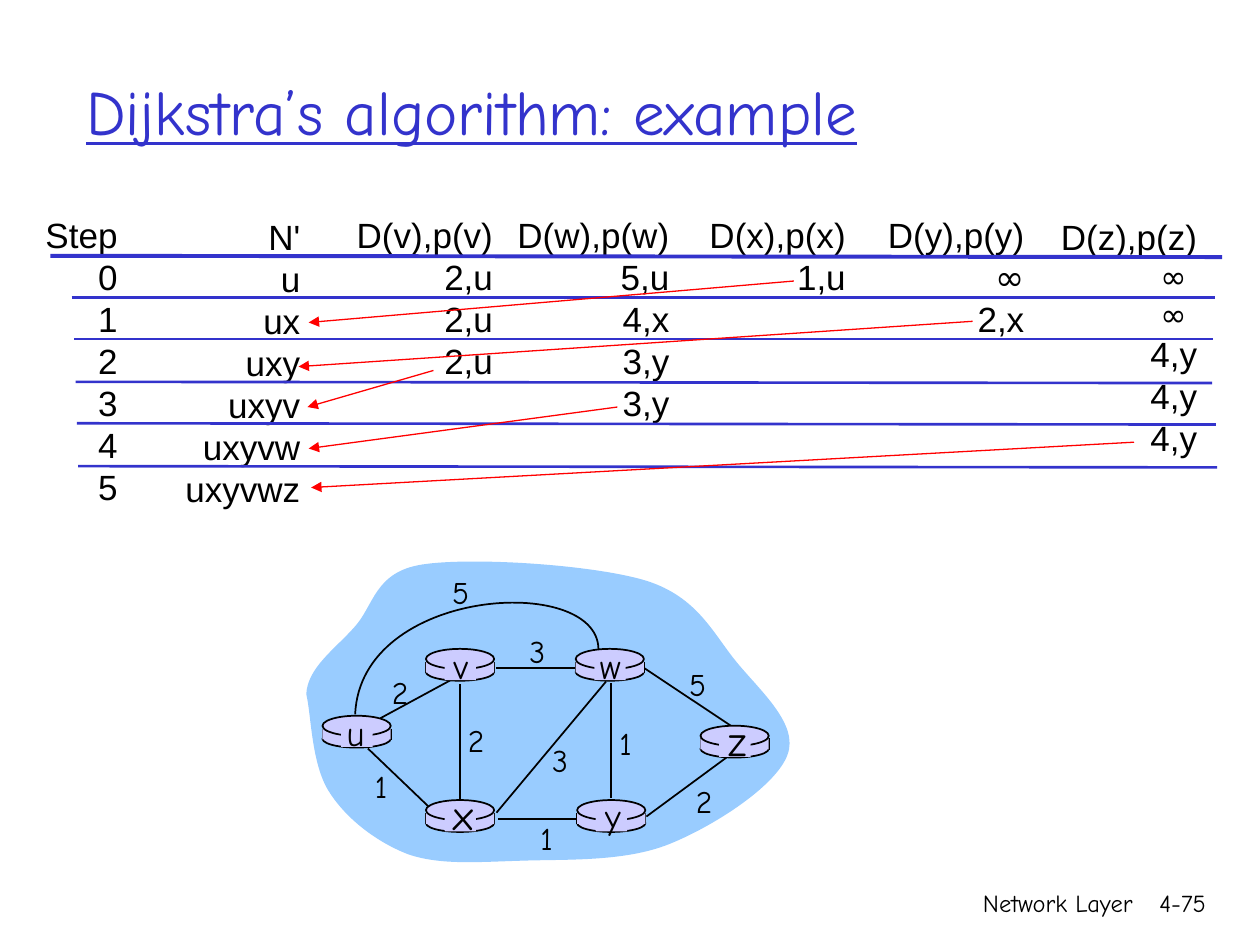
from lxml import etree
from pptx import Presentation
from pptx.dml.color import RGBColor
from pptx.enum import shapes, text
from pptx.oxml.ns import qn
from pptx.util import Pt

SANS, HAND = "Arial", "Comic Neue"
BLACK, BLUE, RED = "000000", "3333CC", "FF0000"
CLOUD_BLUE, ROUTER_FILL = "99CCFF", "CCCCFF"
LEFT, CENTER, RIGHT = text.PP_ALIGN.LEFT, text.PP_ALIGN.CENTER, text.PP_ALIGN.RIGHT

TITLE = "Dijkstra’s algorithm: example"
FOOTERS = [("Network Layer", 426.2, 228.2), ("4-75", 643, 53.3)]  # text, left, width

# left, top, width, entries from the header down
COLUMNS = [
    (18.9, 118.3, 55.4, ["Step", "0", "1", "2", "3", "4", "5"]),
    (98.8, 119.5, 79.9, ["N'", "u", "ux", "uxy", "uxyv", "uxyvw", "uxyvwz"]),
    (196.6, 118.3, 92.2, ["D(v),p(v)", "2,u", "2,u", "2,u"]),
    (285.6, 118.3, 104, ["D(w),p(w)", "5,u", "4,x", "3,y", "3,y"]),
    (398.2, 118.3, 92.2, ["D(x),p(x)", "1,u"]),
    (500.2, 118.3, 92.2, ["D(y),p(y)", "∞", "2,x"]),
    (599, 119.5, 92.2, ["D(z),p(z)", "∞ ", "∞ ", "4,y", "4,y", "4,y"]),
]
# x1, y1, x2, y2
HEADER_RULE = (28.8, 146.2, 698.4, 146.9)
ROW_RULES = [
    (41, 169.9, 694.1, 169.9),
    (42.5, 193.7, 693.4, 193.7),
    (43.2, 218.2, 692.6, 218.9),
    (43.9, 241.9, 694.8, 242.6),
    (44.6, 266.4, 695.5, 267.1),
]
CHOICE_ARROWS = [
    (453.6, 160.6, 176.4, 184.3),
    (555.8, 183.6, 170.6, 209.5),
    (247.7, 211.7, 175.7, 232.6),
    (352.8, 232.6, 176.4, 256.3),
    (648, 252.7, 177.8, 278.6),
]

CLOUD = [
    (175, 396.7), (175.7, 381.6), (191.5, 370.8), (202.3, 358.6),
    (213.8, 346.3), (213.8, 326.9), (241.2, 322.6),
    (269.3, 318.2), (339.1, 322.6), (369.4, 331.9),
    (398.9, 341.3), (407.5, 362.2), (421.2, 378.7),
    (434.9, 395.3), (456.5, 414), (450, 431.3),
    (443.5, 449.3), (407.5, 472.3), (382.3, 482.4),
    (357.1, 492.5), (324, 491), (299.5, 491.8),
    (274.3, 492.5), (252, 494.6), (233.3, 488.2),
    (214.6, 481), (197.3, 467.3), (187.9, 452.2),
    (177.8, 436.3), (177.8, 407.5), (175, 396.7),
]
U_W_ARC = [(342, 370.8), (341.3, 327.6), (205.9, 335.5), (203, 408.2)]

# name, left, top, label size, label centre
ROUTERS = [
    ("u", 184.3, 409, 20, (203.2, 418.7)), ("x", 243.4, 457.2, 24, (265, 465.1)),
    ("v", 243.4, 370.8, 20, (263.5, 380.5)), ("w", 329, 370.8, 20, (348.8, 380.5)),
    ("y", 329.8, 457.2, 20, (350.3, 466.2)), ("z", 400.3, 414.7, 24, (421.7, 422.6)),
]
LINKS = [
    (217.4, 410.4, 259.9, 387.4),  # u-v
    (349.2, 390.2, 349.2, 455.8),  # w-y
    (262.8, 391, 262.8, 457.9),    # v-x
    (283.7, 464.4, 346.3, 389.5),  # x-w
    (369.4, 466.6, 415.4, 432.7),  # y-z
    (329.8, 468, 284.4, 468),      # y-x
    (244.8, 460.8, 210.2, 427.7),  # x-u
    (329, 381.6, 283.7, 381.6),    # w-v
    (417.6, 414.7, 367.9, 381.6),  # z-w
]
# cost, centre x, top
COSTS = [
    ("2", 228.6, 380.9), ("2", 272, 408.4), ("1", 217.8, 434.9), ("3", 320, 419.8),
    ("1", 312.3, 464.2), ("1", 357.5, 410.4), ("2", 402.3, 443.5), ("5", 398.7, 376.6),
    ("3", 307.1, 357.8), ("5", 263.2, 324.2),
]


def rgb(color):
    return RGBColor.from_string(color)


def write(paragraph, words, align, **font_values):
    paragraph.text = words
    paragraph.alignment = align
    values = {"name": HAND, "size": 20, "color": BLACK, **font_values}
    paragraph.font.color.rgb = rgb(values.pop("color"))
    values["size"] = Pt(values["size"])
    for key, value in values.items():
        setattr(paragraph.font, key, value)


def add_text(slide, box, entries, align):
    """Entries are (words, font values, exact line spacing or None)."""
    frame = slide.shapes.add_textbox(*map(Pt, box)).text_frame
    frame.word_wrap = False
    for index, (words, values, spacing) in enumerate(entries):
        paragraph = frame.add_paragraph() if index else frame.paragraphs[0]
        write(paragraph, words, align, **values)
        if spacing:
            paragraph.line_spacing = Pt(spacing)


def add_line(slide, ends, color=BLACK, width=1, arrow=False):
    line = slide.shapes.add_connector(shapes.MSO_CONNECTOR.STRAIGHT, *map(Pt, ends))
    line.line.color.rgb = rgb(color)
    line.line.width = Pt(width)
    if arrow:
        etree.SubElement(line.line._get_or_add_ln(), qn("a:tailEnd"), type="triangle")
    etree.SubElement(line._element.spPr, qn("a:effectLst"))


def paint(shape, fill=None, line=None):
    shape.shadow.inherit = False
    for part, color in ((shape.fill, fill), (shape.line.fill, line)):
        if color:
            part.solid()
            part.fore_color.rgb = rgb(color)
        else:
            part.background()
    if line:
        shape.line.width = Pt(1)


def add_curve(slide, points, closed=False, **colors):
    """Draw a chain of cubic Béziers; each start is the previous end."""
    start, *others = [tuple(map(Pt, point)) for point in points]
    builder = slide.shapes.build_freeform(*start)
    builder.add_line_segments(others, close=closed)
    shape = builder.convert_to_shape()
    segments = list(shape._element.spPr.iter(qn("a:lnTo")))
    for first in range(0, len(segments), 3):
        curve = etree.Element(qn("a:cubicBezTo"))
        segments[first].addprevious(curve)
        for segment in segments[first:first + 3]:
            curve.append(segment[0])
            segment.getparent().remove(segment)
    paint(shape, **colors)


def add_router(slide, name, left, top, size, label_center):
    kinds = shapes.MSO_SHAPE
    width = 39

    def part(kind, dx, dy, w, h, line=None):
        shape = slide.shapes.add_shape(kind, *map(Pt, (left + dx, top + dy, w, h)))
        paint(shape, ROUTER_FILL, line)

    part(kinds.OVAL, 0, 8.2, width, 10, BLACK)
    for x in (left, left + width):
        add_line(slide, (x, top + 7.3, x, top + 13.6))
    part(kinds.RECTANGLE, 0, 7.3, width, 6.3)
    part(kinds.OVAL, 0, 0, width, 11.5, BLACK)
    part(kinds.RECTANGLE, 10.6, 1.4, 18, 16.5)
    x, y = label_center
    height = 1.2 * size + 7.2
    add_text(slide, (x - 14.4, y - height / 2, 28.8, height),
             [(name, {"size": size}, None)], CENTER)


def add_column(slide, left, top, width, entries):
    rows = []
    for words in entries:
        size = 18 if words == "∞ " else 20
        font = HAND if "∞" in words else SANS
        rows.append((words, {"name": font, "size": size}, 21.5 if size == 18 else 24))
    add_text(slide, (left, top, width, 24 * len(rows) + 7.2), rows, RIGHT)


def main():
    presentation = Presentation()
    presentation.slide_width, presentation.slide_height = Pt(720), Pt(540)
    slide = presentation.slides.add_slide(presentation.slide_layouts[5])

    title = slide.shapes.title
    title.left, title.top, title.width, title.height = map(Pt, (42, 18, 612, 90))
    title.text_frame.vertical_anchor = text.MSO_ANCHOR.MIDDLE
    write(title.text_frame.paragraphs[0], TITLE, LEFT, size=36, color=BLUE, underline=True)
    for words, left, width in FOOTERS:
        add_text(slide, (left, 504, width, 36), [(words, {"size": 14}, None)], RIGHT)

    for column in COLUMNS:
        add_column(slide, *column)
    add_line(slide, HEADER_RULE, BLUE, 2.25)
    for rule in ROW_RULES:
        add_line(slide, rule, BLUE, 1.5)

    add_curve(slide, CLOUD, closed=True, fill=CLOUD_BLUE)
    for link in LINKS:
        add_line(slide, link)
    add_curve(slide, U_W_ARC, line=BLACK)
    for router in ROUTERS:
        add_router(slide, *router)
    for cost, center, top in COSTS:
        add_text(slide, (center - 12.6, top, 25.2, 28.8), [(cost, {"size": 18}, None)], CENTER)
    for arrow in CHOICE_ARROWS:
        add_line(slide, arrow, RED, 0.75, arrow=True)

    presentation.save("out.pptx")


if __name__ == "__main__":
    main()
